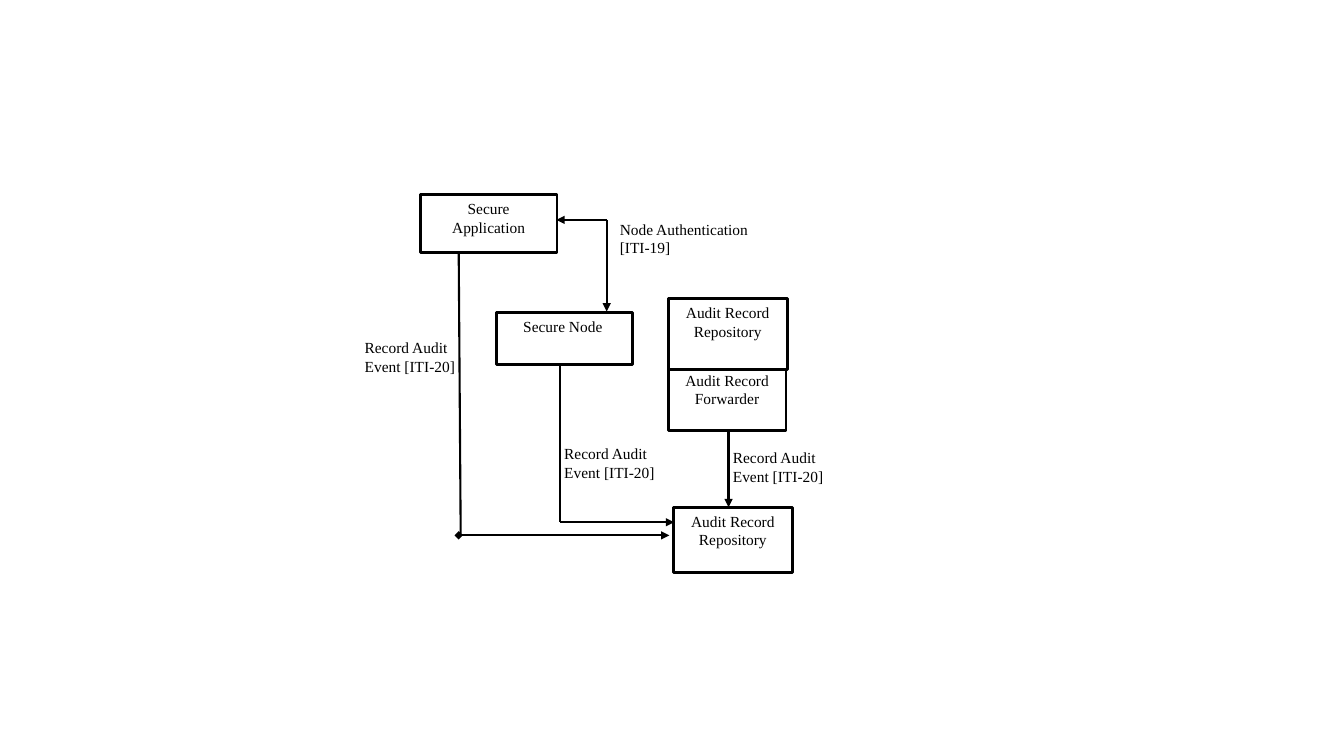
from dataclasses import dataclass
from lxml import etree
from pptx import Presentation
from pptx import util as u
from pptx.dml.color import RGBColor
from pptx.enum import shapes, text
from pptx.oxml.ns import qn


@dataclass
class Theme:
    ink: RGBColor = RGBColor(0, 0, 0)
    paper: RGBColor = RGBColor(255, 255, 255)
    font: str = "Times New Roman"
    size: u.Pt = u.Pt(11)
    edge: u.Pt = u.Pt(2)
    wire: u.Pt = u.Pt(1.5)


theme = Theme()


def write(shape, words, align):
    frame = shape.text_frame
    frame.word_wrap = True
    frame.vertical_anchor = text.MSO_ANCHOR.TOP
    frame.text = words
    para = frame.paragraphs[0]
    para.alignment = align
    para.font.name = theme.font
    para.font.size = theme.size
    para.font.color.rgb = theme.ink


deck = Presentation()
deck.slide_width, deck.slide_height = u.Cm(33.87), u.Cm(19.05)
slide = deck.slides.add_slide(deck.slide_layouts[6])

actors = [
    ("Secure Node ", 12.52, 7.87, 3.43, 1.32),
    ("Secure Application", 10.59, 4.9, 3.45, 1.47),
    ("Audit Record Forwarder", 16.84, 9.22, 2.97, 1.63),
    ("Audit Record Repository", 16.97, 12.78, 3, 1.65),
    ("Audit Record Repository", 16.84, 7.52, 3, 1.8),
]
for words, *place in actors:
    box = slide.shapes.add_shape(shapes.MSO_SHAPE.RECTANGLE, *map(u.Cm, place))
    box.shadow.inherit = False
    box.fill.solid()
    box.fill.fore_color.rgb = theme.paper
    box.line.color.rgb = theme.ink
    box.line.width = theme.edge
    write(box, words, text.PP_ALIGN.CENTER)

wires = [
    (11.56, 6.38, 11.61, 13.49, None, None),
    (11.56, 13.49, 16.87, 13.49, "diamond", "triangle"),
    (18.36, 10.85, 18.36, 12.78, None, "triangle"),
    (14.12, 9.19, 14.12, 13.16, None, None),
    (14.12, 13.16, 16.99, 13.16, None, "triangle"),
    (14.02, 5.54, 15.29, 5.54, "triangle", None),
    (15.29, 5.54, 15.29, 7.85, None, "triangle"),
]
for *ends, head, tail in wires:
    wire = slide.shapes.add_connector(shapes.MSO_CONNECTOR.STRAIGHT, *map(u.Cm, ends))
    wire.line.color.rgb = theme.ink
    wire.line.width = theme.wire
    props = wire.element.spPr
    for tag, tip in (("a:headEnd", head), ("a:tailEnd", tail)):
        if tip:
            etree.SubElement(props.find(qn("a:ln")), qn(tag), type=tip)
    etree.SubElement(props, qn("a:effectLst"))

event = "Record Audit Event [ITI-20]"
labels = [
    (event, 9.19, 8.53, 3, 1.17),
    ("Node Authentication \v[ITI-19]", 15.62, 5.54, 4.9, 0.84),
    (event, 14.22, 11.2, 3, 1.17),
    (event, 18.47, 11.3, 3, 1.17),
]
for words, *place in labels:
    label = slide.shapes.add_textbox(*map(u.Cm, place))
    frame = label.text_frame
    frame.margin_left = frame.margin_right = 0
    frame.margin_top = frame.margin_bottom = 0
    write(label, words, text.PP_ALIGN.LEFT)

deck.save("out.pptx")
